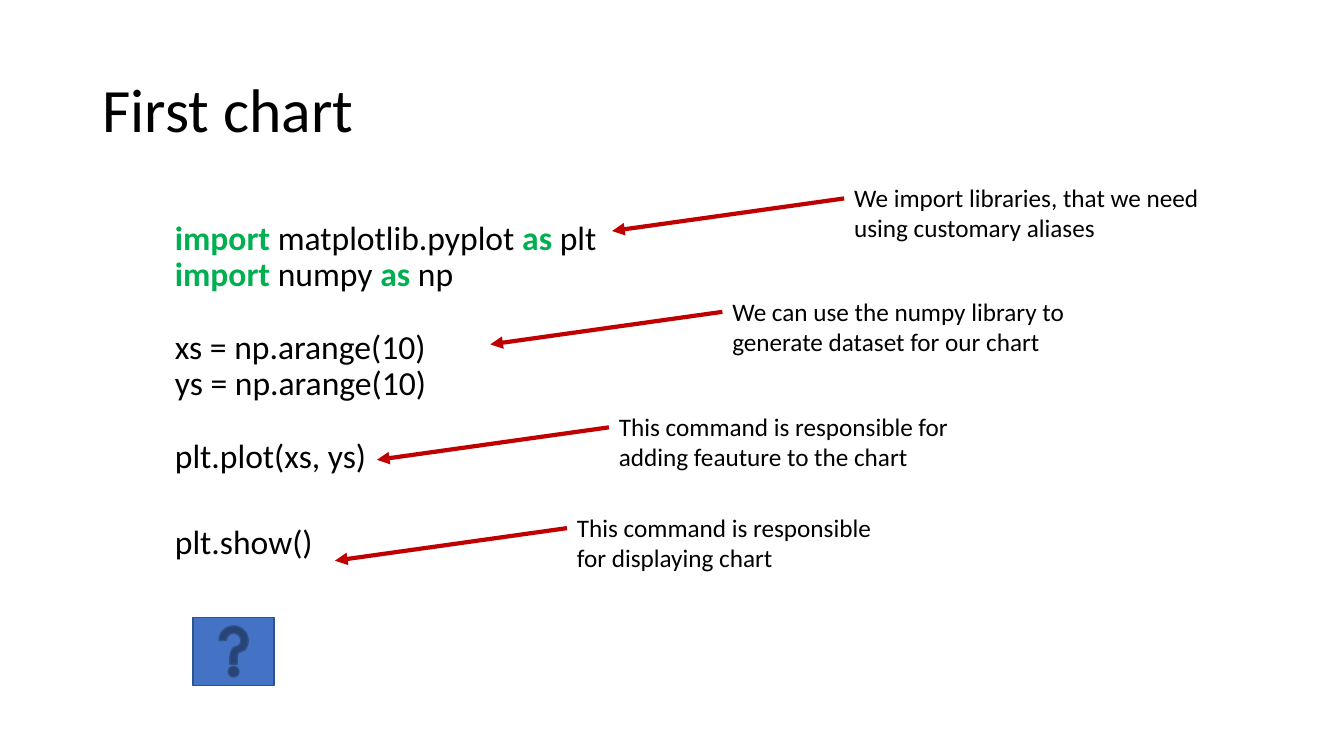
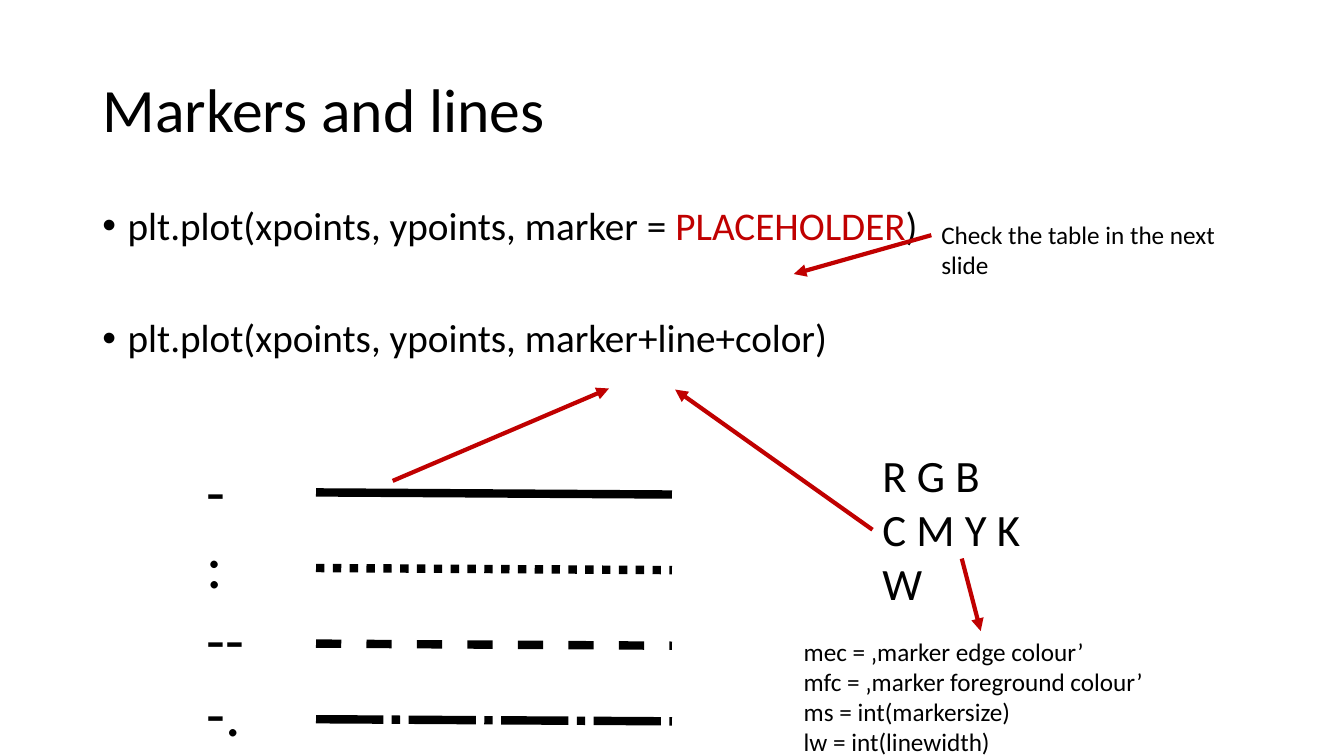
import dataclasses

import lxml.etree
import pptx
import pptx.dml.color
import pptx.enum.shapes
import pptx.enum.text
import pptx.oxml.ns
import pptx.util

PX = 9525  # EMU in one px; the slide is 1280 x 720 px


@dataclasses.dataclass(frozen=True)
class Theme:
    font: str = "Calibri"
    ink: str = "000000"
    arrow: str = "C00000"
    keyword: str = "00B050"
    button: str = "4472C4"
    button_edge: str = "2F528F"
    title_size: int = 44
    list_size: int = 28
    code_size: int = 24
    note_size: int = 18
    letters_size: int = 32
    symbol_size: int = 44
    arrow_width: int = 3
    sample_width: int = 6


THEME = Theme()

# Each code line: space before in points, then pieces; every second piece is a keyword
CODE_LINES = [
    (0, ["", "import", " matplotlib.pyplot ", "as", " plt"]),
    (0, ["", "import", " numpy ", "as", " np"]),
    (26, ["xs = np.arange(10)"]),
    (0, ["ys = np.arange(10)"]),
    (26, ["plt.plot(xs, ys)"]),
    (36, ["plt.show()"]),
]

# Left, top, width, text
CODE_NOTES = [
    (804, 169, 361, "We import libraries, that we need using customary aliases"),
    (688, 277, 361, "We can use the numpy library to generate dataset for our chart"),
    (580, 387, 361, "This command is responsible for adding feauture to the chart"),
    (540, 483, 307, "This command is responsible for displaying chart"),
]

MARKER_CALLS = [
    (0, ["plt.plot(xpoints, ypoints, marker = ", "PLACEHOLDER", ")"]),
    (50, ["plt.plot(xpoints, ypoints, marker+line+color)"]),
]

# Line symbol with its (dash, gap) pairs, in line widths
LINE_STYLES = [
    ("-", []),
    (":", [(1, 1)]),
    ("--", [(3, 3)]),
    ("-.", [(8, 1), (1, 1)]),
]

MARKER_OPTIONS = [
    "mec = ‚marker edge colour’",
    "mfc = ‚marker foreground colour’",
    "ms = int(markersize)",
    "lw = int(linewidth)",
]


def rgb(value):
    return pptx.dml.color.RGBColor.from_string(value)


def px(*lengths):
    return [pptx.util.Emu(length * PX) for length in lengths]


def add_xml(parent, tag, **attributes):
    return lxml.etree.SubElement(parent, pptx.oxml.ns.qn(tag), **attributes)


def style_paragraph(paragraph, size):
    paragraph.font.name = THEME.font
    paragraph.font.size = pptx.util.Pt(size)
    paragraph.font.color.rgb = rgb(THEME.ink)


def place(shape, left, top, width, height):
    shape.left, shape.top, shape.width, shape.height = px(left, top, width, height)


# Placeholders
def add_slide(deck, heading):
    slide = deck.slides.add_slide(deck.slide_layouts[1])
    title = slide.shapes.title
    place(title, 88, 38, 1104, 139)
    title.text_frame.text = heading
    title.text_frame.auto_size = pptx.enum.text.MSO_AUTO_SIZE.NONE
    title.text_frame.vertical_anchor = pptx.enum.text.MSO_ANCHOR.MIDDLE
    paragraph = title.text_frame.paragraphs[0]
    paragraph.alignment = pptx.enum.text.PP_ALIGN.LEFT
    paragraph.line_spacing = 0.9
    style_paragraph(paragraph, THEME.title_size)
    return slide


def fill_body(slide, box, lines, size, accent, bold=False, bullets=False):
    body = slide.placeholders[1]
    place(body, *box)
    frame = body.text_frame
    frame.auto_size = pptx.enum.text.MSO_AUTO_SIZE.NONE
    for number, (gap, pieces) in enumerate(lines):
        paragraph = frame.add_paragraph() if number else frame.paragraphs[0]
        indent = 24 * PX if bullets else 0
        properties = paragraph._p.get_or_add_pPr()
        properties.set("marL", str(indent))
        properties.set("indent", str(-indent))
        if not bullets:
            add_xml(properties, "a:buNone")
        paragraph.line_spacing = 0.9
        paragraph.space_before = pptx.util.Pt(gap)
        style_paragraph(paragraph, size)
        for position, piece in enumerate(pieces):
            if not piece:
                continue
            run = paragraph.add_run()
            run.text = piece
            if position % 2:
                run.font.color.rgb = rgb(accent)
                run.font.bold = bold


# Text boxes and lines
def add_text(slide, box, lines, size):
    text_box = slide.shapes.add_textbox(*px(*box))
    frame = text_box.text_frame
    frame.word_wrap = True
    frame.text = "\n".join(lines)
    for paragraph in frame.paragraphs:
        style_paragraph(paragraph, size)
    return text_box


def add_line(slide, start, end, color, width):
    line = slide.shapes.add_connector(
        pptx.enum.shapes.MSO_CONNECTOR.STRAIGHT, *px(*start, *end))
    line.line.color.rgb = rgb(color)
    line.line.width = pptx.util.Pt(width)
    add_xml(line._element.spPr, "a:effectLst")
    return line


def add_arrow(slide, start, end):
    arrow = add_line(slide, start, end, THEME.arrow, THEME.arrow_width)
    add_xml(arrow.line._get_or_add_ln(), "a:tailEnd", type="triangle")
    return arrow


def add_callout(slide, left, top, width, text, reach=(-221, 31)):
    start = (left, top + 20)
    add_arrow(slide, start, (start[0] + reach[0], start[1] + reach[1]))
    add_text(slide, (left, top, width, 68), [text], THEME.note_size)


def add_line_sample(slide, top, dashes):
    sample = add_line(slide, (301, top), (640, top + 2), THEME.ink, THEME.sample_width)
    if dashes:
        pattern = add_xml(sample.line._get_or_add_ln(), "a:custDash")
        for dash, gap in dashes:
            add_xml(pattern, "a:ds", d=str(dash * 100000), sp=str(gap * 100000))


def add_help_button(slide, box):
    button = slide.shapes.add_shape(
        pptx.enum.shapes.MSO_SHAPE.ACTION_BUTTON_HELP, *px(*box))
    button.shadow.inherit = False
    button.fill.solid()
    button.fill.fore_color.rgb = rgb(THEME.button)
    button.line.color.rgb = rgb(THEME.button_edge)
    button.line.width = pptx.util.Pt(1)


# Slides
def build_first_chart(deck):
    slide = add_slide(deck, "First chart")
    fill_body(slide, (157, 206, 1008, 448), CODE_LINES, THEME.code_size,
              THEME.keyword, bold=True)
    for note in CODE_NOTES:
        add_callout(slide, *note)
    add_help_button(slide, (184, 588, 77, 65))


def build_markers(deck):
    slide = add_slide(deck, "Markers and lines")
    fill_body(slide, (88, 192, 1104, 457), MARKER_CALLS, THEME.list_size,
              THEME.arrow, bullets=True)
    add_callout(slide, 887, 204, 307, "Check the table in the next slide", (-131, 37))

    # Line styles
    add_arrow(slide, (374, 458), (580, 370))
    add_text(slide, (187, 427, 100, 292), [symbol for symbol, _ in LINE_STYLES],
             THEME.symbol_size)
    for row, (_, dashes) in enumerate(LINE_STYLES):
        add_line_sample(slide, 469 + 72 * row, dashes)

    # Colour letters and marker options
    letters = add_text(slide, (831, 422, 160, 165), ["R G B", "C M Y K", "W"],
                       THEME.letters_size)
    options = add_text(slide, (756, 601, 356, 119), MARKER_OPTIONS, THEME.note_size)
    add_arrow(slide, (831, 505), (643, 371)).begin_connect(letters, 1)
    add_arrow(slide, (916, 532), (934, 601)).end_connect(options, 0)


def main():
    deck = pptx.Presentation()
    deck.slide_width, deck.slide_height = px(1280, 720)
    build_first_chart(deck)
    build_markers(deck)
    deck.save("out.pptx")


if __name__ == "__main__":
    main()
